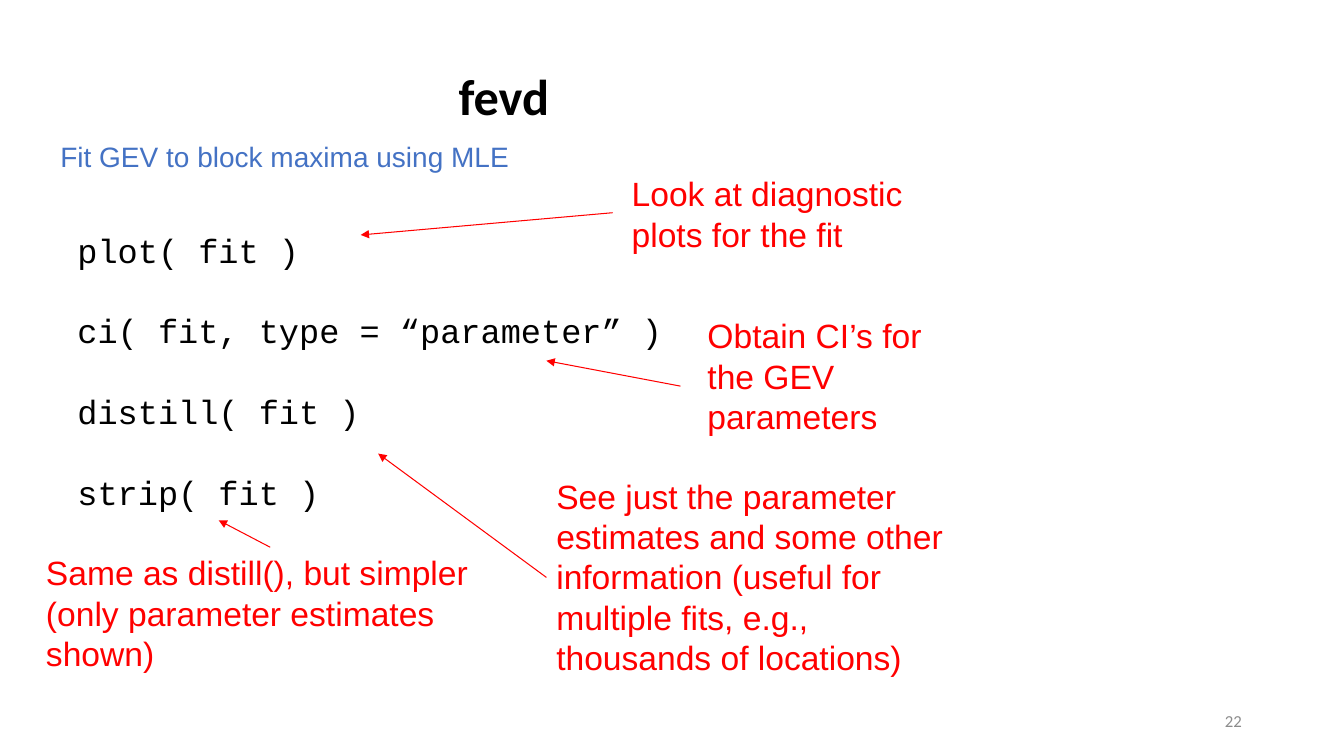
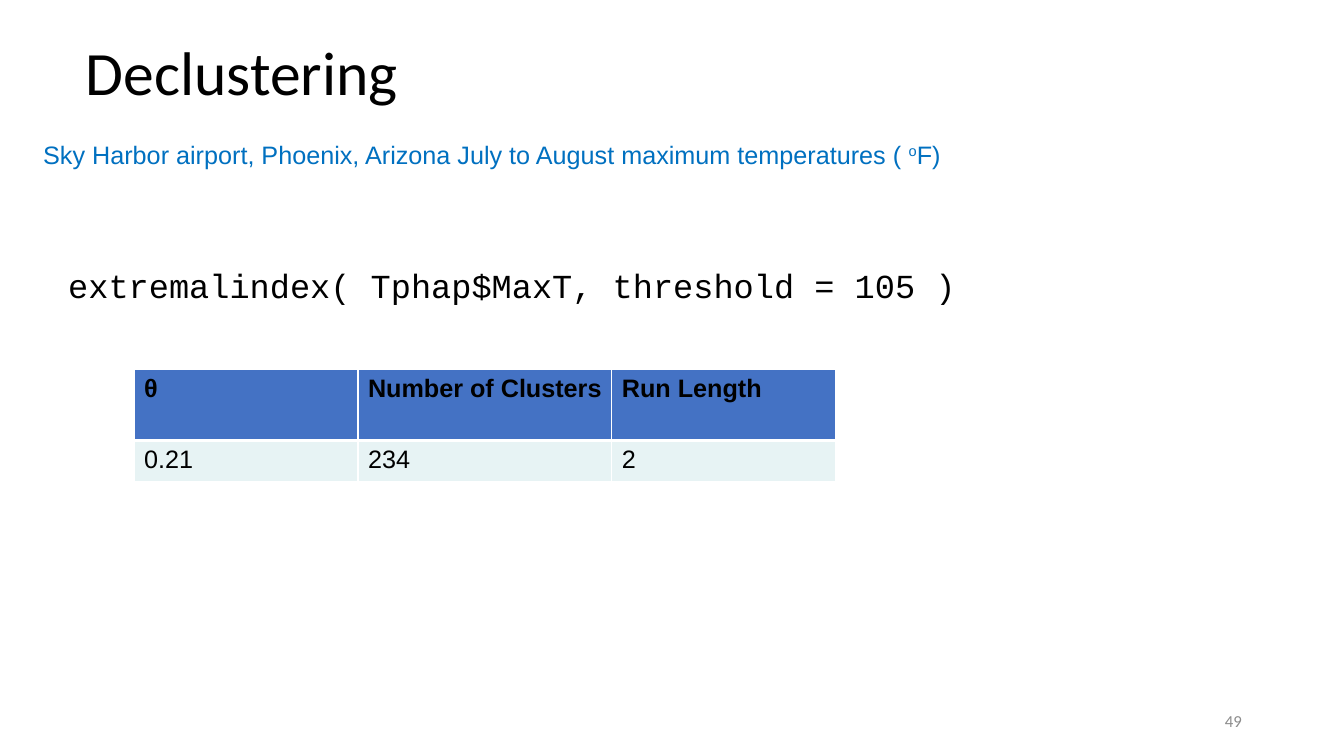
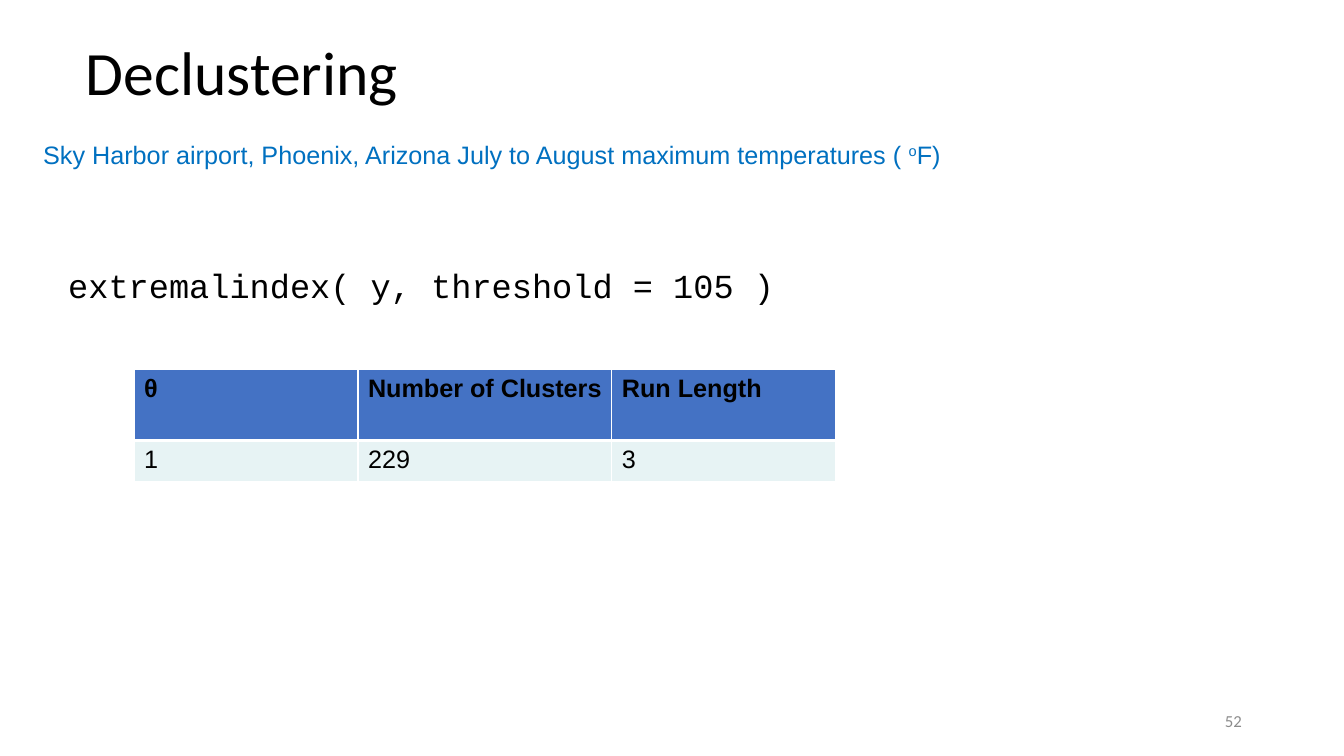
from lxml import etree
from pptx import Presentation
from pptx.dml.color import RGBColor
from pptx.enum.shapes import MSO_CONNECTOR
from pptx.enum.text import MSO_ANCHOR, MSO_AUTO_SIZE, PP_ALIGN
from pptx.oxml.ns import qn
from pptx.util import Cm, Pt

STRAIGHT = MSO_CONNECTOR.STRAIGHT
MIDDLE = MSO_ANCHOR.MIDDLE
NO_AUTOFIT = MSO_AUTO_SIZE.NONE
LEFT, CENTER, RIGHT = PP_ALIGN.LEFT, PP_ALIGN.CENTER, PP_ALIGN.RIGHT

BLACK, WHITE, RED, GRAY = "000000", "FFFFFF", "FF0000", "8C8C8C"
BLUE, SKY, PALE = "4472C4", "0070C0", "E7F3F4"
BODY, HEADING, CODE = "Arial", "Calibri", "Courier New"
LINE_RATIO = 1.2

FIT_CALLS = ["plot( fit )", "ci( fit, type = “parameter” )", "distill( fit )", "strip( fit )"]
CALLOUTS = [
    ("Look at diagnostic plots for the fit",
     (15.67, 4.24, 8.05, 2.31), (15.44, 5.36), (9.09, 5.92)),
    ("Obtain CI’s for the GEV parameters",
     (17.58, 7.82, 6.55, 3.33), (17.15, 9.73), (13.77, 9.09)),
    ("See just the parameter estimates and some other information "
     "(useful for multiple fits, e.g., thousands of locations)",
     (13.77, 11.86, 10.36, 5.38), (13.77, 14.55), (9.53, 11.43)),
    ("Same as distill(), but simpler (only parameter estimates shown)",
     (0.91, 13.79, 11.79, 3.33), (6.81, 13.79), (5.51, 13.11)),
]
STATION = "Sky Harbor airport, Phoenix, Arizona July to August maximum temperatures ( "
HEADERS = ["θ", "Number of Clusters", "Run Length"]
COLUMN_WIDTHS, ROW_HEIGHTS = [5.64, 6.4, 5.64], [1.78, 1.04]
DECLUSTERING = [
    ("extremalindex( Tphap$MaxT, threshold = 105 )", ["0.21", "234", "2"], "49"),
    ("extremalindex( y, threshold = 105 )", ["1", "229", "3"], "52"),
]


def rgb(value):
    return RGBColor.from_string(value)


def set_font(paragraph, name, size, color, bold=False):
    font = paragraph.font
    font.name, font.size, font.bold = name, Pt(size), bold
    font.color.rgb = rgb(color)


def add_text(slide, box, lines, name, size, color, align=LEFT, gap=0):
    frame = slide.shapes.add_textbox(*map(Cm, box)).text_frame
    frame.word_wrap = True
    for index, line in enumerate(lines):
        paragraph = frame.add_paragraph() if index else frame.paragraphs[0]
        paragraph.text = line
        paragraph.alignment = align
        paragraph.line_spacing = Pt(size * LINE_RATIO)
        paragraph.space_after = Pt(gap)
        set_font(paragraph, name, size, color)
    return frame


def add_slide(presentation, title, box, size, number, align=LEFT, bold=False, spacing=1.0):
    slide = presentation.slides.add_slide(presentation.slide_layouts[5])
    shape = slide.shapes.title
    shape.left, shape.top, shape.width, shape.height = map(Cm, box)
    frame = shape.text_frame
    frame.text = title
    frame.auto_size, frame.vertical_anchor = NO_AUTOFIT, MIDDLE
    paragraph = frame.paragraphs[0]
    paragraph.alignment, paragraph.line_spacing = align, spacing
    set_font(paragraph, HEADING, size, BLACK, bold)
    footer = add_text(slide, (23.93, 17.65, 7.62, 1.02), [number], HEADING, 12, GRAY, RIGHT)
    footer.vertical_anchor = MIDDLE
    return slide


def add_arrow(slide, start, end):
    arrow = slide.shapes.add_connector(STRAIGHT, *map(Cm, start + end))
    arrow.line.color.rgb = rgb(RED)
    arrow.line.width = Pt(0.75)
    etree.SubElement(arrow.line._get_or_add_ln(), qn("a:tailEnd"), type="triangle")
    etree.SubElement(arrow._element.spPr, qn("a:effectLst"))


def set_borders(cell, widths):
    properties = cell._tc.get_or_add_tcPr()
    for index, (side, width) in enumerate(widths.items()):
        border = etree.Element(qn("a:" + side), w=str(Pt(width)))
        fill = etree.SubElement(border, qn("a:solidFill"))
        etree.SubElement(fill, qn("a:srgbClr"), val=WHITE)
        properties.insert(index, border)


def add_results(slide, values):
    table = slide.shapes.add_table(
        2, len(HEADERS), Cm(3.38), Cm(9.32),
        Cm(sum(COLUMN_WIDTHS)), Cm(sum(ROW_HEIGHTS))).table
    for column, width in zip(table.columns, COLUMN_WIDTHS):
        column.width = Cm(width)
    for row, (height, texts) in enumerate(zip(ROW_HEIGHTS, [HEADERS, values])):
        header = row == 0
        table.rows[row].height = Cm(height)
        for column, text in enumerate(texts):
            cell = table.cell(row, column)
            cell.text = text
            set_font(cell.text_frame.paragraphs[0], BODY, 18, BLACK, header)
            cell.fill.solid()
            cell.fill.fore_color.rgb = rgb(BLUE if header else PALE)
            set_borders(cell, {"lnL": 1, "lnR": 1, "lnT": 1 if header else 3,
                               "lnB": 3 if header else 1})


def build_fit(presentation):
    slide = add_slide(presentation, "fevd", (1.27, 1.27, 22.86, 2.26), 36, "22", CENTER, True)
    add_text(slide, (1.7, 5.66, 15.88, 7.44), FIT_CALLS, CODE, 24, BLACK, gap=24 * LINE_RATIO)
    add_text(slide, (1.27, 3.38, 15.04, 1.96), ["Fit GEV to block maxima using MLE"], BODY, 20, BLUE)
    for text, box, start, end in CALLOUTS:
        add_text(slide, box, [text], BODY, 24, RED)
        add_arrow(slide, start, end)


def build_declustering(presentation, call, values, number):
    slide = add_slide(presentation, "Declustering", (1.91, 0.64, 21.59, 2.54), 44, number,
                      spacing=0.9)
    add_text(slide, (1.47, 6.55, 23.29, 1.3), [call], CODE, 24, BLACK)
    add_results(slide, values)
    station = add_text(slide, (0.84, 3.38, 24.56, 1.8), [STATION], BODY, 18, SKY).paragraphs[0]
    degree = station.add_run()
    degree.text = "o"
    degree._r.get_or_add_rPr().set("baseline", "30000")
    station.add_run().text = "F)"


def main():
    presentation = Presentation()
    presentation.slide_width, presentation.slide_height = Cm(33.87), Cm(19.05)
    build_fit(presentation)
    for call, values, number in DECLUSTERING:
        build_declustering(presentation, call, values, number)
    presentation.save("out.pptx")


if __name__ == "__main__":
    main()
